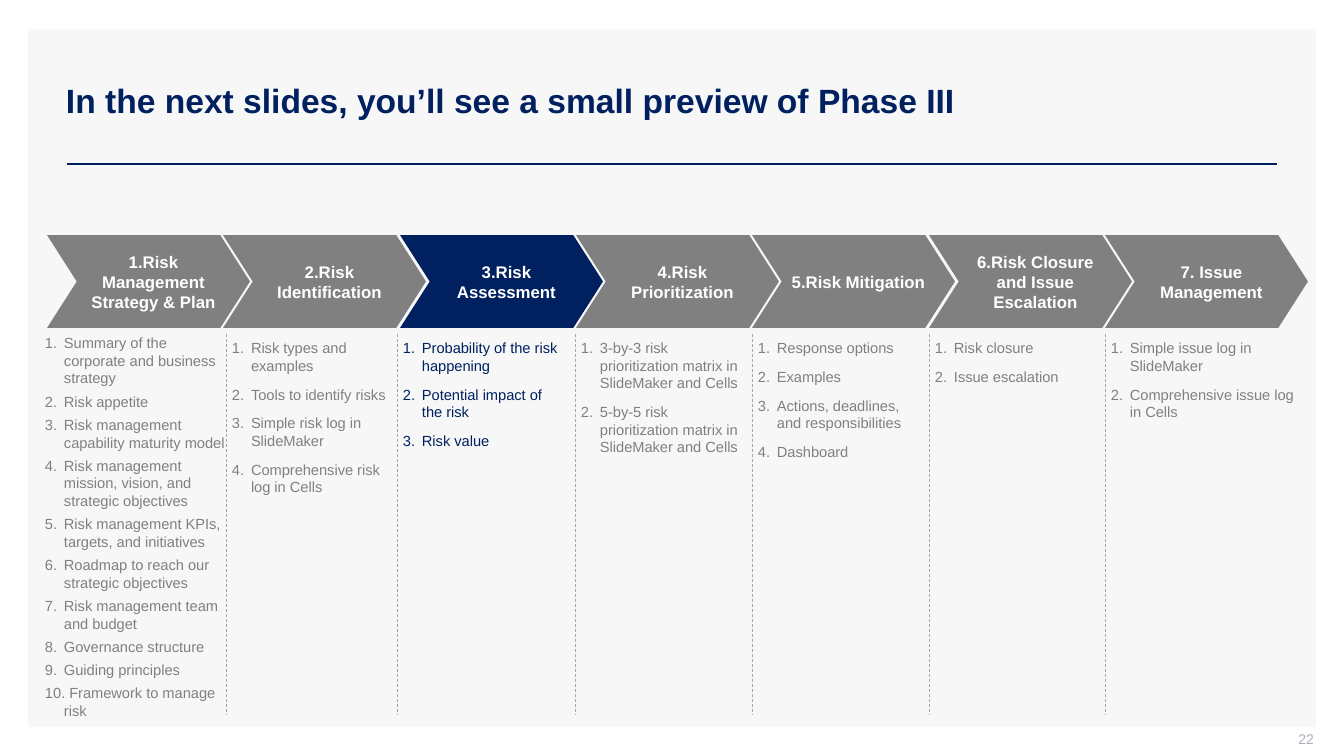
from lxml.etree import SubElement
from pptx import Presentation
from pptx.dml.color import RGBColor
from pptx.enum.dml import MSO_LINE
from pptx.enum.shapes import MSO_CONNECTOR, MSO_SHAPE as SHAPE
from pptx.enum.text import MSO_ANCHOR as ANCHOR, PP_ALIGN as ALIGN
from pptx.oxml.ns import qn
from pptx.util import Emu, Pt

NAVY, GRAY, PALE, WHITE = "002060", "808080", "F7F7F7", "FFFFFF"
DASH, FAINT = "A6A6A6", "ADAFBB"

TITLE = "In the next slides, you’ll see a small preview of Phase III"
PAGE = "22"
ACTIVE = 2  # index of the highlighted step
STEPS = [
    ("1.Risk Management Strategy & Plan", [
        "Summary of the corporate and business strategy",
        "Risk appetite",
        "Risk management capability maturity model",
        "Risk management mission, vision, and strategic objectives",
        "Risk management KPIs, targets, and initiatives",
        "Roadmap to reach our strategic objectives",
        "Risk management team and budget",
        "Governance structure",
        "Guiding principles",
        " Framework to manage risk"]),
    ("2.Risk Identification", [
        "Risk types and examples",
        "Tools to identify risks",
        "Simple risk log in SlideMaker",
        "Comprehensive risk log in Cells"]),
    ("3.Risk Assessment", [
        "Probability of the risk happening",
        "Potential impact of the risk",
        "Risk value"]),
    ("4.Risk Prioritization", [
        "3-by-3 risk prioritization matrix in SlideMaker and Cells",
        "5-by-5 risk prioritization matrix in SlideMaker and Cells"]),
    ("5.Risk Mitigation", [
        "Response options",
        "Examples",
        "Actions, deadlines, and responsibilities",
        "Dashboard"]),
    ("6.Risk Closure and Issue Escalation", [
        "Risk closure",
        "Issue escalation"]),
    ("7. Issue Management", [
        "Simple issue log in SlideMaker",
        "Comprehensive issue log in Cells"]),
]

# Lengths in px
WIDE, HIGH = 1344, 756
STEP_X, STEP_END, STEP_Y, STEP_W, STEP_H = 47, 1105, 235, 203, 93
LIST_X = [45, 232, 403, 581, 758, 935, 1111]
LIST_W = [192, 171, 172, 177, 169, 194, 194]
LIST_Y, LIST_END, GAP, HANG = 334, 715, 6, 19


def px(n):
    return Emu(round(n * 914400 / 100.8))


def rgb(code):
    return RGBColor.from_string(code)


def add_run(par, text, size, color, bold=False):
    run = par.add_run()
    run.text = text
    font = run.font
    font.name, font.size, font.bold = "Arial", Pt(size), bold
    font.color.rgb = rgb(color)


def set_frame(shape, pads, anchor=ANCHOR.MIDDLE):
    frame = shape.text_frame
    frame.word_wrap = True
    frame.vertical_anchor = anchor
    (frame.margin_left, frame.margin_top,
     frame.margin_right, frame.margin_bottom) = map(px, pads)
    return frame


def add_box(x, y, w, h, pads, anchor=ANCHOR.MIDDLE):
    box = shapes.add_textbox(px(x), px(y), px(w), px(h))
    return set_frame(box, pads, anchor)


def add_solid(kind, x, y, w, h, fill):
    shape = shapes.add_shape(kind, px(x), px(y), px(w), px(h))
    shape.shadow.inherit = False
    shape.fill.solid()
    shape.fill.fore_color.rgb = rgb(fill)
    shape.line.fill.background()
    return shape


def add_line(x1, y1, x2, y2, color, width):
    line = shapes.add_connector(
        MSO_CONNECTOR.STRAIGHT, px(x1), px(y1), px(x2), px(y2))
    line.line.color.rgb = rgb(color)
    line.line.width = Pt(width)
    SubElement(line._element.spPr, qn("a:effectLst"))
    return line


def add_step(i, text, fill):
    x = round(STEP_X + i * (STEP_END - STEP_X) / (len(STEPS) - 1))
    step = add_solid(SHAPE.CHEVRON, x, STEP_Y, STEP_W, STEP_H, fill)
    step.adjustments[0] = 0.32
    par = set_frame(step, (10, 5, 0, 5)).paragraphs[0]
    par.alignment = ALIGN.CENTER
    add_run(par, text, 12, WHITE, True)


def add_list(i, items, color):
    first = i == 0
    top = LIST_Y - 5 if first else LIST_Y
    space = Pt(2 if first else 4)
    frame = add_box(LIST_X[i], top, LIST_W[i], LIST_END - top,
                    (0, 5, 10, 5), ANCHOR.TOP)
    for n, item in enumerate(items):
        par = frame.add_paragraph() if n else frame.paragraphs[0]
        props = par._p.get_or_add_pPr()
        props.set("marL", str(px(HANG)))
        props.set("indent", str(-px(HANG)))
        SubElement(props, qn("a:buFont"), typeface="+mj-lt")
        SubElement(props, qn("a:buAutoNum"), type="arabicPeriod")
        if n:
            par.space_before = space
        par.space_after = space
        add_run(par, item, 10.5, color)


deck = Presentation()
deck.slide_width, deck.slide_height = px(WIDE), px(HIGH)
shapes = deck.slides.add_slide(deck.slide_layouts[6]).shapes

add_solid(SHAPE.RECTANGLE, 28, 29, 1288, 698, PALE)
add_line(67, 164, 1277, 164, NAVY, 2)
head = add_box(56, 40, 1221, 120, (10, 5, 10, 5))
add_run(head.paragraphs[0], TITLE, 24, NAVY, True)
foot = add_box(1012, 731, 302, 21, (10, 0, 0, 5)).paragraphs[0]
foot.alignment = ALIGN.RIGHT
add_run(foot, PAGE, 10, FAINT)

for i, (name, items) in enumerate(STEPS):
    color = NAVY if i == ACTIVE else GRAY
    add_step(i, name, color)
    if i:
        x = LIST_X[i] - GAP
        rule = add_line(x, LIST_Y, x, LIST_END, DASH, 0.5)
        rule.line.dash_style = MSO_LINE.DASH
    add_list(i, items, color)

deck.save("out.pptx")
